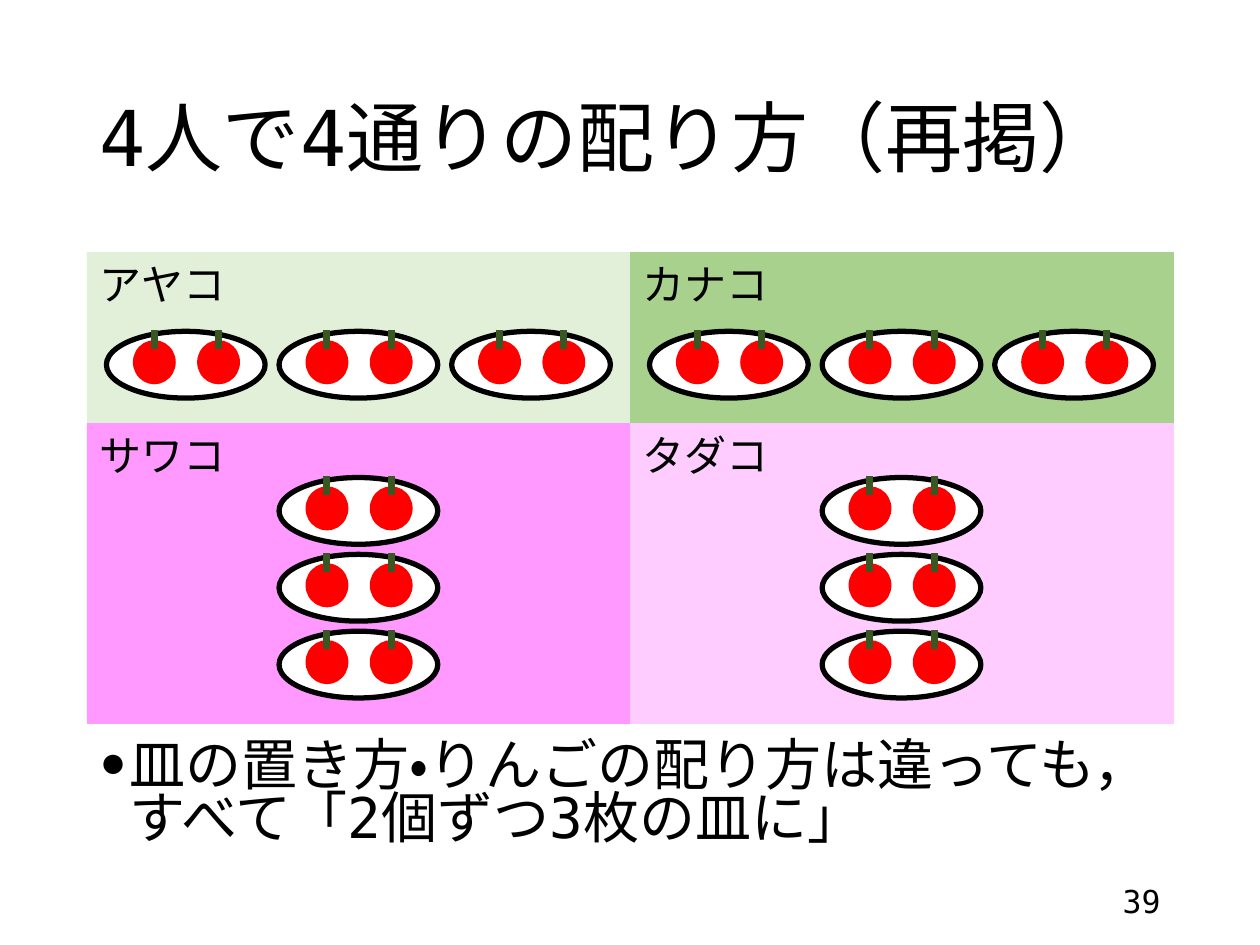
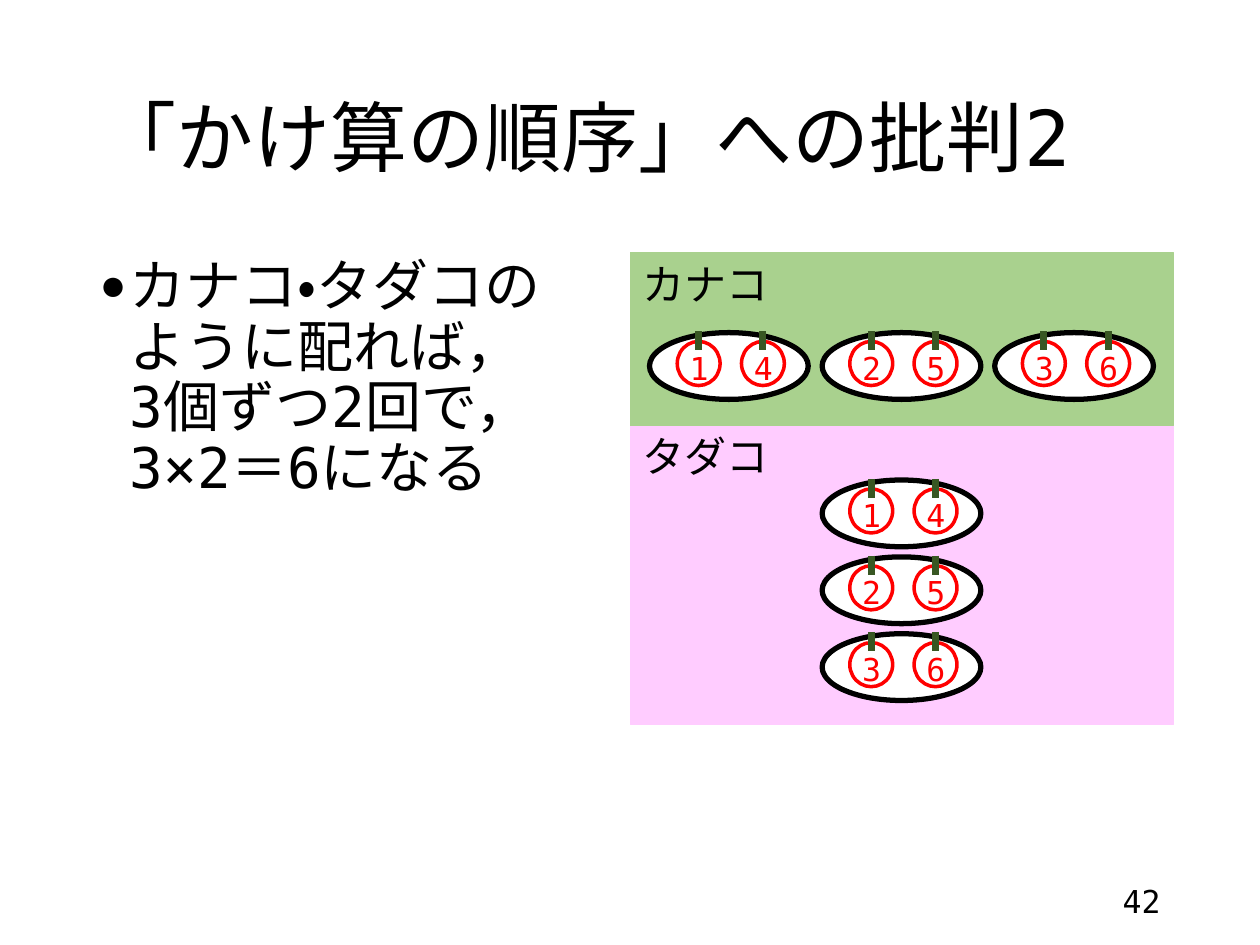
"""Build two slides on sharing six apples among three plates."""
from lxml.etree import SubElement as Sub
from pptx import Presentation
from pptx.dml.color import RGBColor
from pptx.enum.lang import MSO_LANGUAGE_ID as Lang
from pptx.enum.shapes import MSO_CONNECTOR as Conn, MSO_SHAPE as Shape
from pptx.enum.text import MSO_ANCHOR as Anchor, MSO_AUTO_SIZE as Fit, PP_ALIGN as Align
from pptx.oxml.ns import qn
from pptx.util import Inches, Pt

FONT = "DejaVu Sans Mono"
BLACK, WHITE, RED, STEM = "000000", "FFFFFF", "FF0000", "385723"
LEFT, MID, WIDE = 0.69, 5, 8.62
HALF = WIDE / 2
PLATE = (1.26, 0.53)
APPLE = (0.34, 0.35)
STEP = {"row": (1.37, 0), "stack": (0, 0.61)}
TOP = {"row": 2, "stack": 3.36}
TALL = {"row": 1.38, "stack": 2.38}
DROP = {"row": 0.63, "stack": 1.04}
PAIRS = [("1", "4"), ("2", "5"), ("3", "6")]
PLAIN = [("", "")] * 3

SLIDES = [
    {
        "title": "4人で4通りの配り方（再掲）",
        "body": "皿の置き方・りんごの配り方は違っても，\nすべて「2個ずつ3枚の皿に」",
        "box": (LEFT, 5.84, 8.8, 1.02), "lines": 0.8, "page": "39",
        "marks": PLAIN, "shift": 0,
        "panels": [
            ("アヤコ", LEFT, "row", "E2F0D9"),
            ("カナコ", MID, "row", "A9D18E"),
            ("サワコ", LEFT, "stack", "FF99FF"),
            ("タダコ", MID, "stack", "FFCCFF"),
        ],
    },
    {
        "title": "「かけ算の順序」への批判2",
        "body": "カナコ・タダコの\nように配れば，\n3個ずつ2回で，\n3×2＝6になる",
        "box": (LEFT, 2, WIDE, 4.76), "lines": 0.9, "page": "42",
        "marks": PAIRS, "shift": 0.01,
        "panels": [
            ("タダコ", MID, "stack", "FFCCFF"),
            ("カナコ", MID, "row", "A9D18E"),
        ],
    },
]


def paint(part, color):
    if hasattr(part, "solid"):
        part.solid()
        part.fore_color.rgb = RGBColor.from_string(color)
    else:
        part.color.rgb = RGBColor.from_string(color)


def write(shape, text, size, color=BLACK, align=Align.LEFT, lines=1.0, bullet=False):
    para = shape.text_frame.paragraphs[0]
    para.text = text
    para.alignment = align
    para.line_spacing = lines
    para.space_before = Pt(0)
    if bullet:
        props = para._p.get_or_add_pPr()
        props.set("marL", str(Inches(0.24)))
        props.set("indent", str(Inches(-0.24)))
        Sub(props, qn("a:buSzPct")).set("val", "80000")
        Sub(props, qn("a:buChar")).set("char", "●")
    font = para.font
    font.name, font.size = FONT, Pt(size)
    paint(font, color)
    for run in para.runs:
        run.font.language_id = Lang.JAPANESE


def place(shape, box):
    shape.left, shape.top, shape.width, shape.height = map(Inches, box)
    shape.text_frame.auto_size = Fit.NONE


def label(slide, box, text, size, wrap=False, **style):
    shape = slide.shapes.add_textbox(*map(Inches, box))
    shape.text_frame.word_wrap = wrap
    write(shape, text, size, **style)
    return shape


def draw(slide, kind, box, fill=None, line=None, width=0.5):
    shape = slide.shapes.add_shape(kind, *map(Inches, box))
    shape.shadow.inherit = False
    if fill:
        paint(shape.fill, fill)
    else:
        shape.fill.background()
    if line:
        paint(shape.line, line)
        shape.line.width = Pt(width)
    else:
        shape.line.fill.background()


def apple(slide, x, y, mark):
    if mark:
        draw(slide, Shape.OVAL, (x, y, *APPLE), line=RED, width=2)
    else:
        draw(slide, Shape.OVAL, (x, y, *APPLE), fill=RED)
    mid = x + APPLE[0] / 2
    ends = (mid, y - 0.08, mid, y + 0.07)
    stem = slide.shapes.add_connector(Conn.STRAIGHT, *map(Inches, ends))
    paint(stem.line, STEM)
    stem.line.width = Pt(4)
    Sub(stem._element.spPr, qn("a:effectLst"))
    if mark:
        label(slide, (x, y + 0.01, APPLE[0], 0.4), mark, 18, color=RED, align=Align.CENTER)


def panel(slide, name, x, way, color, marks, shift):
    top = TOP[way]
    if way == "stack":
        top += shift
    draw(slide, Shape.RECTANGLE, (x, top, HALF, TALL[way]), color, color)
    label(slide, (x, top, 1.21, 0.5), name, 24)
    across, down = STEP[way]
    for i, pair in enumerate(marks):
        left = x + (HALF - PLATE[0]) / 2 + (i - 1) * across
        high = top + DROP[way] + (i - 1) * down + shift
        draw(slide, Shape.OVAL, (left, high, *PLATE), WHITE, BLACK, 3)
        for k, mark in enumerate(pair):
            apple(slide, left + 0.21 + shift + 0.51 * k, high + 0.07, mark)


def build(deck, data):
    slide = deck.slides.add_slide(deck.slide_layouts[1])
    title, body = slide.placeholders
    place(title, (LEFT, 0.4, WIDE, 1.45))
    title.text_frame.vertical_anchor = Anchor.MIDDLE
    write(title, data["title"], 44, lines=0.9)
    place(body, data["box"])
    body.text_frame.margin_right = 0
    write(body, data["body"], 32, lines=data["lines"], bullet=True)
    page = label(slide, (7.06, 6.95, 2.25, 0.4), data["page"], 18, wrap=True, align=Align.RIGHT)
    page.text_frame.vertical_anchor = Anchor.MIDDLE
    for spot in data["panels"]:
        panel(slide, *spot, data["marks"], data["shift"])


def main():
    deck = Presentation()
    deck.slide_width, deck.slide_height = Inches(10), Inches(7.5)
    for data in SLIDES:
        build(deck, data)
    deck.save("out.pptx")


if __name__ == "__main__":
    main()
